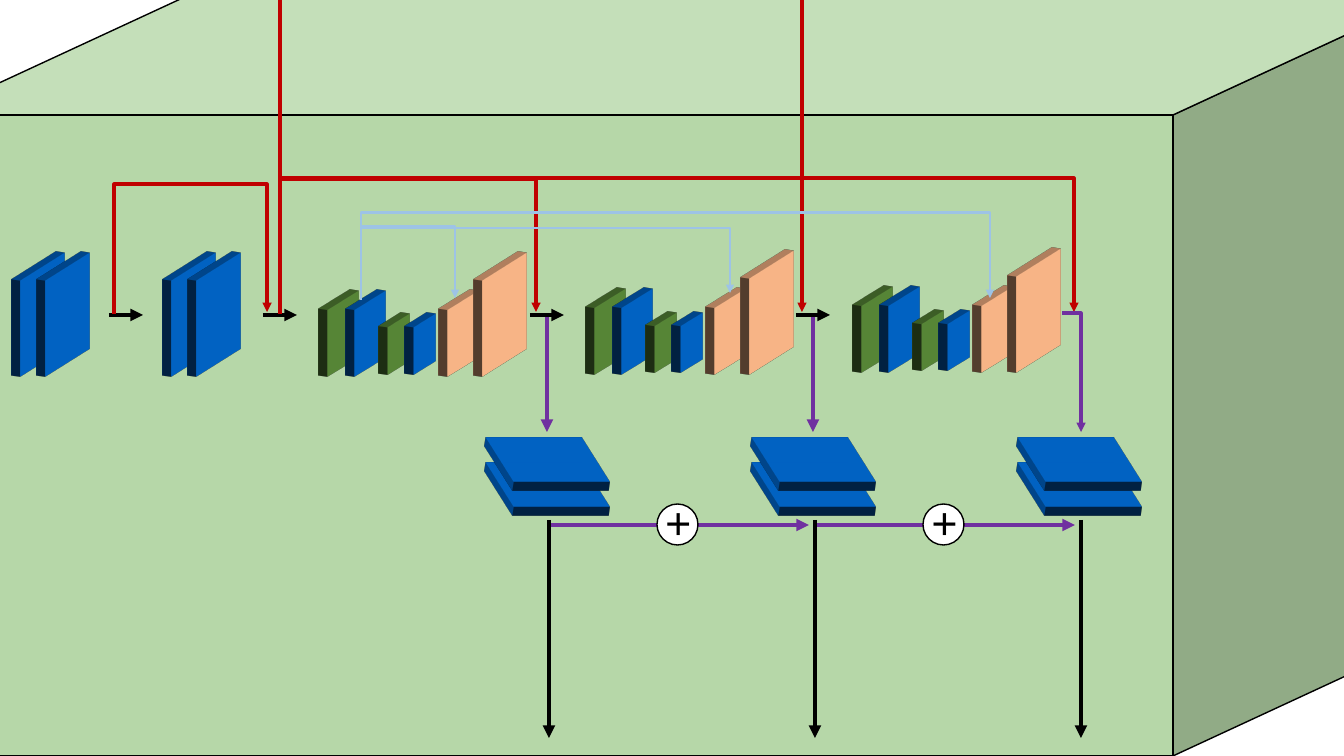
from dataclasses import dataclass

from lxml.etree import SubElement
from pptx import Presentation
from pptx.dml.color import RGBColor
from pptx.enum.shapes import MSO_CONNECTOR, MSO_SHAPE
from pptx.enum.text import MSO_ANCHOR, PP_ALIGN
from pptx.oxml.ns import qn
from pptx.util import Pt

PX = 12192000 / 1344
STAGE_STEP = 267
OUTPUT_STEP = 266
LARGE, MEDIUM, SMALL = 101, 70, 49
SLAB_DEPTH = 10

COLOURS = {
    "black": "000000", "white": "FFFFFF",
    "red": "C00000", "purple": "7030A0", "sky": "9DC3E6",
    "blue": "0060C0", "green": "548235", "peach": "F4B183",
    "cube front": "B6D7A8", "cube top": "C4DFB9", "cube side": "91AB86",
}


@dataclass(frozen=True)
class Slab:
    """A square that is turned in space and given depth."""
    x: int
    y: int
    size: int
    colour: str
    rotation: int = 0


@dataclass(frozen=True)
class Skip:
    """A U-shaped link that climbs to apex and comes down again."""
    x1: int
    y1: int
    x2: int
    y2: int
    apex: int
    colour: str
    weight: float


INPUT_SLABS = [Slab(x, 264, LARGE, "blue") for x in (-8, 17, 143, 168)]
STAGE = [
    Slab(308, 299, MEDIUM, "green"), Slab(335, 299, MEDIUM, "blue"),
    Slab(374, 320, SMALL, "green"), Slab(400, 320, SMALL, "blue"),
    Slab(428, 299, MEDIUM, "peach"), Slab(454, 264, LARGE, "peach"),
]
OUTPUT_SLABS = [Slab(497, y, LARGE, "blue", 270) for y in (434, 409)]
SKIPS = [
    Skip(114, 314, 267, 312, 183, "red", 2.25),
    Skip(280, 314, 536, 312, 178, "red", 2.25),
    Skip(280, 314, 802, 312, -10, "red", 2.25),
    Skip(280, 314, 1074, 312, 177, "red", 2.25),
    Skip(361, 300, 455, 298, 226, "sky", 1.75),
    Skip(361, 300, 730, 293, 228, "sky", 1.75),
    Skip(361, 300, 990, 298, 212, "sky", 1.75),
]


def emu(px: float) -> int:
    return round(px * PX)


def rgb(name: str) -> RGBColor:
    return RGBColor.from_string(COLOURS[name])


def apply(target, values: dict) -> None:
    for name, value in values.items():
        setattr(target, name, value)


def paint(shape, colour: str, outlined: bool = True) -> None:
    shape.shadow.inherit = False
    shape.fill.solid()
    shape.fill.fore_color.rgb = rgb(colour)
    if outlined:
        shape.line.color.rgb = rgb("black")
        shape.line.width = Pt(1)
    else:
        shape.line.fill.background()


def draw_polygon(page, points: list, colour: str) -> None:
    builder = page.shapes.build_freeform(*points[0], scale=PX)
    builder.add_line_segments(points[1:], close=True)
    paint(builder.convert_to_shape(), colour)


def draw_preset(page, kind, x: int, y: int, width: int, height: int,
                colour: str, outlined: bool = True):
    shape = page.shapes.add_shape(kind, *map(emu, (x, y, width, height)))
    paint(shape, colour, outlined)
    return shape


def draw_slab(page, slab: Slab, dx: int = 0, dy: int = 0) -> None:
    square = draw_preset(page, MSO_SHAPE.RECTANGLE, slab.x + dx, slab.y + dy,
                         slab.size, slab.size, slab.colour, False)
    square.rotation = slab.rotation
    properties = square._element.spPr
    scene = SubElement(properties, qn("a:scene3d"))
    SubElement(scene, qn("a:camera"), prst="isometricOffAxis2Right")
    SubElement(scene, qn("a:lightRig"), rig="threePt", dir="t")
    SubElement(properties, qn("a:sp3d"), extrusionH=str(emu(SLAB_DEPTH)))


def draw_arrow(page, x1: float, y1: float, x2: float, y2: float, colour: str,
               weight: float = 3, kind=MSO_CONNECTOR.STRAIGHT):
    arrow = page.shapes.add_connector(kind, *map(emu, (x1, y1, x2, y2)))
    arrow.line.color.rgb = rgb(colour)
    arrow.line.width = Pt(weight)
    properties = arrow._element.spPr
    SubElement(properties.find(qn("a:ln")), qn("a:tailEnd"), type="triangle")
    SubElement(properties, qn("a:effectLst"))
    return arrow


def draw_skip(page, skip: Skip) -> None:
    """Draw an elbow in its unturned box, then turn it a quarter clockwise."""
    middle_x, middle_y = (skip.x1 + skip.x2) / 2, (skip.y1 + skip.y2) / 2
    drop = skip.y1 - skip.y2
    half_width, half_height = drop / 2, (skip.x2 - skip.x1) / 2
    arrow = draw_arrow(page, middle_x + half_width, middle_y + half_height,
                       middle_x - half_width, middle_y - half_height,
                       skip.colour, skip.weight, MSO_CONNECTOR.ELBOW)
    properties = arrow._element.spPr
    properties.find(qn("a:xfrm")).set("rot", "5400000")
    bend = round((skip.y1 - skip.apex) / drop * 100000)
    SubElement(properties.find(qn("a:prstGeom")).find(qn("a:avLst")), qn("a:gd"),
               name="adj1", fmla=f"val {bend}")


def draw_plus(page, x: int) -> None:
    circle = draw_preset(page, MSO_SHAPE.OVAL, x, 504, 41, 41, "white")
    frame = circle.text_frame
    apply(frame, {"margin_left": emu(2), "margin_right": 0, "margin_top": 0,
                  "margin_bottom": emu(6), "word_wrap": True,
                  "vertical_anchor": MSO_ANCHOR.MIDDLE})
    para = frame.paragraphs[0]
    para.alignment = PP_ALIGN.CENTER
    span = para.add_run()
    span.text = "+"
    apply(span.font, {"name": "Courier New", "size": Pt(32)})
    span.font.color.rgb = rgb("black")


def draw_cube(page) -> None:
    draw_polygon(page, [(1525, -48), (1525, 593), (1173, 756), (1173, 115)], "cube side")
    draw_polygon(page, [(282, -48), (1525, -48), (1173, 115), (-70, 115)], "cube top")
    draw_preset(page, MSO_SHAPE.RECTANGLE, -70, 115, 1243, 641, "cube front")


def draw_outputs(page) -> None:
    for index in range(3):
        dx = index * OUTPUT_STEP
        for slab in OUTPUT_SLABS:
            draw_slab(page, slab, dx)
        draw_arrow(page, 549 + dx, 520, 549 + dx, 738, "black")
        if index == 0:
            for x in (547, 547 + OUTPUT_STEP):
                draw_arrow(page, x, 317, x, 432, "purple")
        if index < 2:
            draw_arrow(page, 551 + dx, 525, 809 + dx, 525, "purple")
            draw_plus(page, 657 + dx)
    elbow = draw_arrow(page, 1062, 313, 1081, 432, "purple", 2.25, MSO_CONNECTOR.ELBOW)
    elbow._element.spPr.find(qn("a:prstGeom")).set("prst", "bentConnector2")


def main() -> None:
    deck = Presentation()
    apply(deck, {"slide_width": emu(1344), "slide_height": emu(756)})
    page = deck.slides.add_slide(deck.slide_layouts[6])
    draw_cube(page)
    for slab in INPUT_SLABS:
        draw_slab(page, slab)
    for index in range(3):
        for slab in STAGE:
            draw_slab(page, slab, index * STAGE_STEP, index * -2)
    for x in (109, 263, 530, 796):
        draw_arrow(page, x, 315, x + 34, 315, "black")
    for skip in SKIPS:
        draw_skip(page, skip)
    draw_outputs(page)
    deck.save("out.pptx")


if __name__ == "__main__":
    main()
